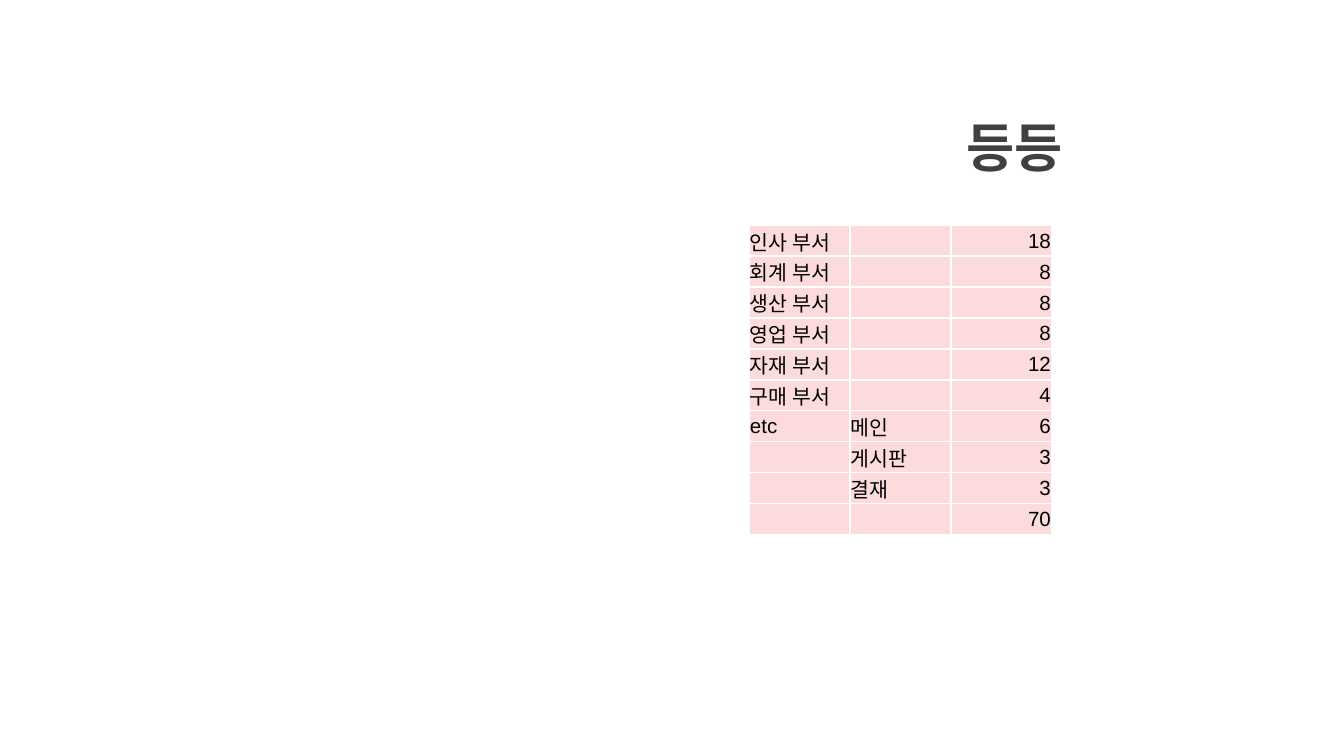
import pptx
import pptx.dml.color
import pptx.enum.text
import pptx.oxml.ns
import pptx.util
from lxml import etree

EMU_PER_PX = 914400 / 134.4
FONT = "Arial"
TITLE_COLOR = "404040"
TEXT_COLOR = "000000"
CELL_COLOR = "FBDBDB"
BORDER_COLOR = "FFFFFF"
CELL_SIZE = 11
COLUMN_WIDTH = 101
ROW_HEIGHT = 31

ROWS = [
    ("인사 부서", "", "18"),
    ("회계 부서", "", "8"),
    ("생산 부서", "", "8"),
    ("영업 부서", "", "8"),
    ("자재 부서", "", "12"),
    ("구매 부서", "", "4"),
    ("etc", "메인", "6"),
    ("", "게시판", "3"),
    ("", "결재", "3"),
    ("", "", "70"),
]


def px(length):
    return pptx.util.Emu(round(length * EMU_PER_PX))


def color(value):
    return pptx.dml.color.RGBColor.from_string(value)


def add_child(parent, tag, **attributes):
    return etree.SubElement(parent, pptx.oxml.ns.qn(tag), **attributes)


def add_run(paragraph, text, size, value, bold=False):
    run = paragraph.add_run()
    run.text = text
    run.font.name = FONT
    run.font.size = pptx.util.Pt(size)
    run.font.bold = bold
    run.font.color.rgb = color(value)


def add_title(slide, text, left, top, width, height):
    shape = slide.shapes.add_textbox(px(left), px(top), px(width), px(height))
    frame = shape.text_frame
    frame.word_wrap = True
    frame.vertical_anchor = pptx.enum.text.MSO_ANCHOR.MIDDLE
    add_run(frame.paragraphs[0], text, 28, TITLE_COLOR, bold=True)


def add_borders(cell):
    properties = cell._tc.get_or_add_tcPr()
    for tag in ("a:lnL", "a:lnR", "a:lnT", "a:lnB"):
        line = add_child(properties, tag, w=str(pptx.util.Pt(1)))
        add_child(add_child(line, "a:solidFill"), "a:srgbClr", val=BORDER_COLOR)


def fill_cell(cell, text, alignment):
    add_borders(cell)
    cell.fill.solid()
    cell.fill.fore_color.rgb = color(CELL_COLOR)
    cell.margin_left = cell.margin_right = cell.margin_top = px(1)
    cell.margin_bottom = 0
    cell.vertical_anchor = pptx.enum.text.MSO_ANCHOR.MIDDLE
    paragraph = cell.text_frame.paragraphs[0]
    paragraph.alignment = alignment
    if text:
        add_run(paragraph, text, CELL_SIZE, TEXT_COLOR)
    else:
        add_child(paragraph._p, "a:endParaRPr", sz=str(CELL_SIZE * 100))


def add_department_table(slide, rows, left, top):
    column_count = len(rows[0])
    frame = slide.shapes.add_table(
        len(rows), column_count, px(left), px(top),
        px(COLUMN_WIDTH * column_count), px(ROW_HEIGHT * len(rows)))
    table = frame.table
    table.first_row = False
    table.horz_banding = False
    for column in table.columns:
        column.width = px(COLUMN_WIDTH)
    for row in table.rows:
        row.height = px(ROW_HEIGHT)
    align = pptx.enum.text.PP_ALIGN
    alignments = (align.LEFT, align.LEFT, align.RIGHT)
    for row, texts in zip(table.rows, rows):
        for cell, text, alignment in zip(row.cells, texts, alignments):
            fill_cell(cell, text, alignment)


def main():
    presentation = pptx.Presentation()
    presentation.slide_width = px(1344)
    presentation.slide_height = px(756)
    slide = presentation.slides.add_slide(presentation.slide_layouts[6])
    add_title(slide, "등등", 953, 36, 391, 222)
    add_department_table(slide, ROWS, 749, 225)
    presentation.save("out.pptx")


if __name__ == "__main__":
    main()
